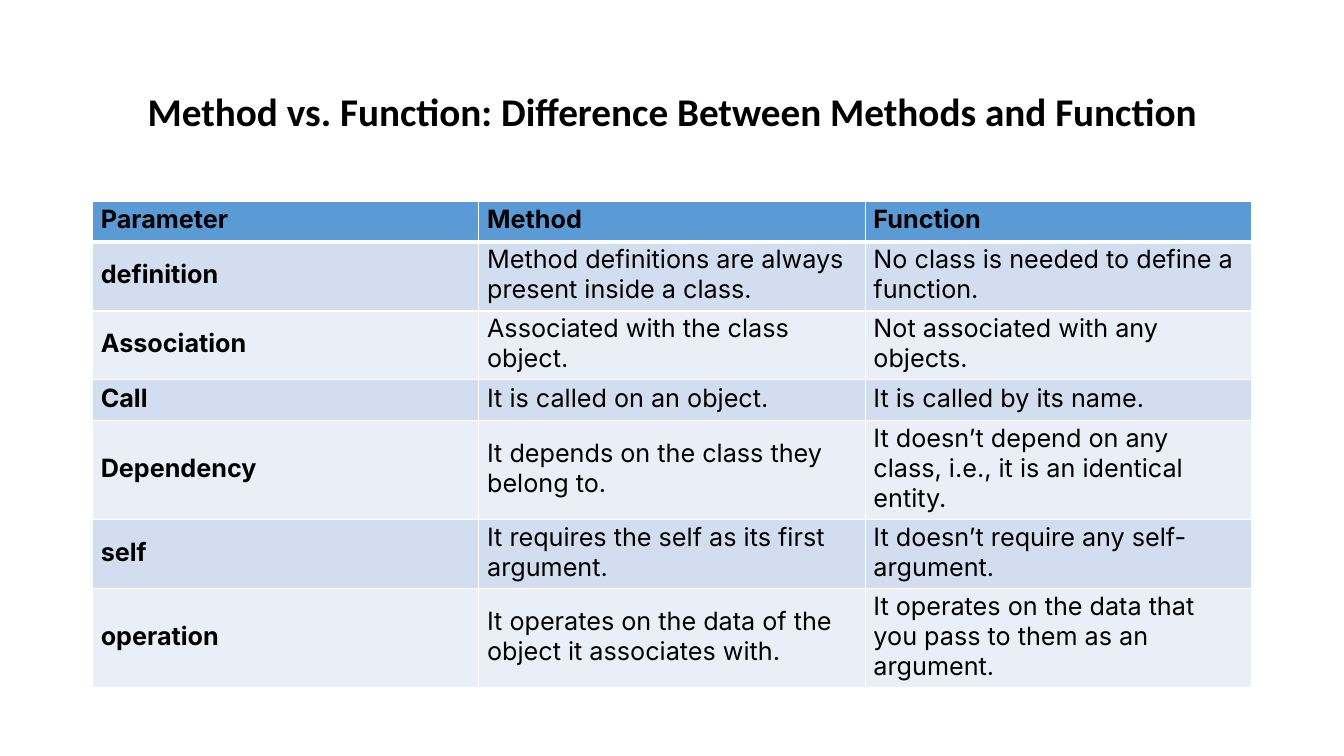
import dataclasses

import lxml.etree
import pptx
import pptx.dml.color
import pptx.enum.text
import pptx.oxml.ns
import pptx.util

Pt = pptx.util.Pt


@dataclasses.dataclass(frozen=True)
class Theme:
    title_font: str = "Calibri"
    body_font: str = "Inter"
    title_size: float = 28
    body_size: float = 18
    text: str = "000000"
    border: str = "FFFFFF"
    header: str = "5B9BD5"
    bands: tuple = ("D2DEEF", "EAEFF7")
    thin: float = 1
    thick: float = 3


COMPARISON = [
    ("Parameter", "Method", "Function"),
    ("definition", "Method definitions are always present inside a class.",
     "No class is needed to define a function."),
    ("Association", "Associated with the class object.",
     "Not associated with any objects."),
    ("Call", "It is called on an object.", "It is called by its name."),
    ("Dependency", "It depends on the class they belong to.",
     "It doesn’t depend on any class, i.e., it is an identical entity."),
    ("self", "It requires the self as its first argument.",
     "It doesn’t require any self-argument."),
    ("operation", "It operates on the data of the object it associates with.",
     "It operates on the data that you pass to them as an argument."),
]


class SlideBuilder:
    def __init__(self, slide, theme):
        self.slide = slide
        self.theme = theme

    def style_font(self, para, name, size, bold):
        para.font.name = name
        para.font.size = Pt(size)
        para.font.bold = bold
        para.font.color.rgb = pptx.dml.color.RGBColor.from_string(self.theme.text)

    def title(self, text, left, top, width, height):
        frame = self.slide.shapes.add_textbox(
            Pt(left), Pt(top), Pt(width), Pt(height)).text_frame
        frame.word_wrap = True
        frame.vertical_anchor = pptx.enum.text.MSO_ANCHOR.MIDDLE
        para = frame.paragraphs[0]
        para.text = text
        para.alignment = pptx.enum.text.PP_ALIGN.CENTER
        para.line_spacing = 0.9
        self.style_font(para, self.theme.title_font, self.theme.title_size, True)

    def table(self, rows, left, top, width, row_height):
        table = self.slide.shapes.add_table(
            len(rows), len(rows[0]), Pt(left), Pt(top),
            Pt(width), Pt(row_height * len(rows))).table
        table.horz_banding = False
        for row_index, texts in enumerate(rows):
            table.rows[row_index].height = Pt(row_height)
            for column_index, text in enumerate(texts):
                self.cell(table.cell(row_index, column_index), text,
                          row_index, column_index)

    def cell(self, cell, text, row_index, column_index):
        theme = self.theme
        is_header = row_index == 0
        cell.margin_left = cell.margin_right = Pt(6)
        cell.margin_top, cell.margin_bottom = Pt(1.5), Pt(4.5)
        cell.vertical_anchor = pptx.enum.text.MSO_ANCHOR.MIDDLE
        self.borders(cell,
                     top=theme.thick if row_index == 1 else theme.thin,
                     bottom=theme.thick if is_header else theme.thin)
        color = theme.header if is_header else theme.bands[(row_index - 1) % 2]
        cell.fill.solid()
        cell.fill.fore_color.rgb = pptx.dml.color.RGBColor.from_string(color)
        para = cell.text_frame.paragraphs[0]
        para.text = text
        self.style_font(para, theme.body_font, theme.body_size,
                        is_header or column_index == 0)

    def borders(self, cell, top, bottom):
        """Draw all four cell borders; call before filling, as the schema order requires."""
        qn = pptx.oxml.ns.qn
        properties = cell._tc.get_or_add_tcPr()
        thin = self.theme.thin
        for side, width in (("L", thin), ("R", thin), ("T", top), ("B", bottom)):
            line = lxml.etree.SubElement(properties, qn(f"a:ln{side}"), w=str(Pt(width)))
            fill = lxml.etree.SubElement(line, qn("a:solidFill"))
            lxml.etree.SubElement(fill, qn("a:srgbClr"), val=self.theme.border)


def main():
    deck = pptx.Presentation()
    deck.slide_width, deck.slide_height = Pt(960), Pt(540)
    builder = SlideBuilder(deck.slides.add_slide(deck.slide_layouts[6]), Theme())
    builder.title("Method vs. Function: Difference Between Methods and Function",
                  66, 28.75, 828, 104.4)
    builder.table(COMPARISON, 66, 143.75, 828, 29.2)
    deck.save("out.pptx")


if __name__ == "__main__":
    main()
